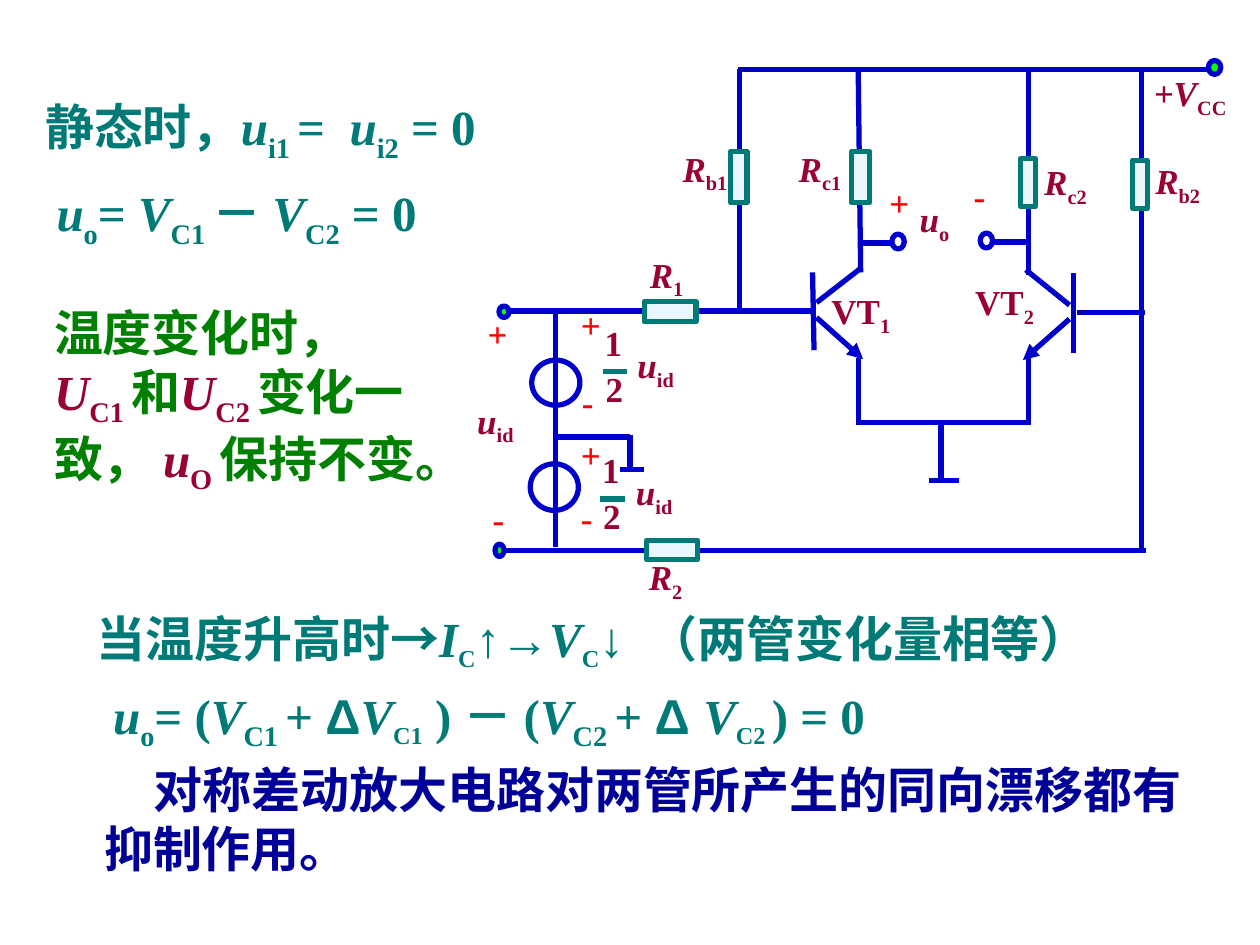
from lxml import etree
from pptx import Presentation
from pptx import util as u
from pptx.dml.color import RGBColor
from pptx.enum import shapes, text
from pptx.oxml import ns

BLUE = RGBColor(0x00, 0x00, 0xCC)
NAVY = RGBColor(0x00, 0x00, 0x99)
TEAL = RGBColor(0x00, 0x7A, 0x77)
GREEN = RGBColor(0x00, 0x80, 0x00)
CRIMSON = RGBColor(0x99, 0x00, 0x33)
RED = RGBColor(0xFF, 0x00, 0x00)
PALE = RGBColor(0xEB, 0xF7, 0xFF)
LIME = RGBColor(0x00, 0xFF, 0x00)

LINE_WIDTH = u.Pt(3)
BODY, LABEL = 28, 20

# Run styles: font attributes that differ from plain bold text
STYLES = {
    "plain": {},
    "italic": {"italic": True},
    "sub": {},
    "small sub": {"size": u.Pt(24)},
    "arial": {"name": "Arial"},
    "wide": {},
}

# Wires: x1, y1, x2, y2 in cm
WIRES = [
    # Supply rail, lower rail and right-hand return
    (14.88, 1.4, 24.38, 1.4), (10.19, 11.1, 23.11, 11.1), (23.01, 1.4, 23.01, 11.15),
    # Input and the bias and collector branches
    (10.31, 6.27, 16.43, 6.27), (21.72, 6.3, 23.09, 6.3), (14.91, 1.4, 14.91, 6.3),
    (17.3, 1.4, 17.35, 5.49), (20.73, 1.4, 20.73, 5.54),
    # Transistor bases and collectors
    (16.38, 5.49, 16.41, 7.06), (21.64, 5.51, 21.64, 7.11),
    (16.46, 6.1, 17.35, 5.41), (21.56, 6.15, 20.68, 5.44),
    # Emitters joined to ground
    (17.3, 7.21, 17.3, 8.56), (20.73, 7.21, 20.73, 8.56), (17.27, 8.51, 20.75, 8.51),
    (18.97, 8.56, 18.97, 9.68), (18.72, 9.68, 19.33, 9.68),
    # Output taps
    (17.37, 4.9, 18.01, 4.9), (20.73, 4.88, 20.02, 4.88),
    # Signal sources and their midpoint ground
    (11.2, 6.32, 11.2, 11.02), (11.25, 8.81, 12.7, 8.81),
    (12.7, 8.76, 12.7, 9.47), (12.5, 9.47, 12.98, 9.47),
]
EMITTERS = [(16.46, 6.4, 17.4, 7.24), (21.56, 6.43, 20.62, 7.26)]

# Outlines: left, top, width, height in cm
RESISTORS = [
    (17.17, 3.05, 0.36, 1.04), (20.57, 3.2, 0.3, 0.97), (14.73, 3.05, 0.33, 1.04),
    (22.83, 3.23, 0.3, 0.97), (13.03, 10.9, 1.04, 0.38), (12.99, 6.08, 1.04, 0.41),
]
TERMINALS = [(10.06, 6.17, 0.2, 0.23), (9.98, 10.97, 0.18, 0.25), (24.36, 1.22, 0.25, 0.28)]
OPEN_CIRCLES = [
    (17.98, 4.72, 0.25, 0.3), (19.76, 4.7, 0.25, 0.3),
    (10.69, 9.35, 0.97, 0.94), (10.72, 7.26, 0.97, 0.91),
]

# Labels: symbol, subscript, left, top, width in cm
SYMBOLS = [
    ("u", "o", 18.29, 3.86, 1.45), ("u", "id", 9.37, 7.92, 1.55),
    ("u", "id", 12.6, 6.81, 1.55), ("u", "id", 12.57, 9.37, 1.55),
    ("+V", "CC", 23.01, 1.32, 2.29), ("R", "2", 12.83, 11.07, 1.85),
    ("R", "1", 12.85, 4.98, 1.52), ("R", "b1", 13.51, 2.84, 1.96),
    ("R", "b2", 23.04, 3.1, 1.93), ("R", "c1", 15.85, 2.84, 2.01),
    ("R", "c2", 20.8, 3.12, 1.96), ("VT", "1", 16.51, 5.72, 2.21),
    ("VT", "2", 19.41, 5.54, 2.31),
]
POLARITIES = [
    ("+", 17.68, 3.53), ("-", 19.38, 3.4), ("+", 11.46, 8.61), ("-", 11.46, 9.88),
    ("+", 9.58, 6.17), ("-", 9.68, 9.91), ("+", 11.46, 5.99), ("-", 11.48, 7.54),
]
FRACTIONS = [(11.94, 6.35), (11.89, 8.92)]

# Statements: box in cm, colour, runs of (text, style[, colour])
STATEMENTS = [
    ((0.84, 5.97, 7.9, 5.33), GREEN, [
        ("温度变化时， ", "plain"), ("U", "italic", CRIMSON), ("C1 ", "sub", CRIMSON),
        ("和", "plain"), ("U", "italic", CRIMSON), ("C2 ", "sub", CRIMSON),
        ("变化一致， ", "plain"), ("u", "italic", CRIMSON), ("O ", "sub", CRIMSON),
        ("保持不变。", "plain")]),
    ((0.89, 3.56, 11, 1.85), TEAL, [
        ("u", "italic"), ("o", "sub"), ("= ", "plain"), ("V", "italic"), ("C1 ", "sub"),
        ("－ ", "plain"), ("V", "italic"), ("C2", "sub"), (" = 0", "plain")]),
    ((2.03, 13.69, 19.99, 1.85), TEAL, [
        ("u", "italic"), ("o", "sub"), ("= (", "plain"), ("V", "italic"), ("C1 ", "sub"),
        ("+ ", "plain"), ("Δ", "arial"), ("V", "italic"), ("C1", "small sub"),
        (" ) － (", "plain"), ("V", "italic"), ("C2 ", "sub"), ("+ ", "plain"),
        ("Δ ", "arial"), ("V", "italic"), ("C2 ", "small sub"), (") = 0", "plain")]),
    ((0.66, 1.83, 11.79, 1.85), TEAL, [
        ("静态时，", "plain"), ("u", "italic"), ("i1 ", "sub"), ("=", "plain"),
        (" ", "wide"), ("u", "italic"), ("i2", "sub"), (" = 0", "plain")]),
    ((1.7, 12.14, 21.79, 1.55), TEAL, [
        ("当温度升高时", "plain"), ("→", "arial"), ("I", "italic"), ("C", "small sub"),
        ("↑→", "arial"), ("V", "italic"), ("C", "small sub"), ("↓", "arial"),
        (" ", "wide"), ("（两管变化量相等）", "plain")]),
]
CONCLUSION = "对称差动放大电路对两管所产生的同向漂移都有抑制作用。"


def set_attributes(target, formats):
    for name, value in formats.items():
        setattr(target, name, value)


def add_wire(slide, ends, color=BLUE, arrow=False):
    wire = slide.shapes.add_connector(
        shapes.MSO_CONNECTOR.STRAIGHT, *[u.Cm(value) for value in ends])
    wire.line.color.rgb = color
    wire.line.width = LINE_WIDTH
    if arrow:
        line = wire.line._get_or_add_ln()
        etree.SubElement(line, ns.qn("a:tailEnd"), type="triangle")
    etree.SubElement(wire._element.spPr, ns.qn("a:effectLst"))


def add_outline(slide, kind, box, color, fill=None):
    shape = slide.shapes.add_shape(kind, *[u.Cm(value) for value in box])
    shape.shadow.inherit = False
    shape.line.color.rgb = color
    shape.line.width = LINE_WIDTH
    if fill is None:
        shape.fill.background()
    else:
        shape.fill.solid()
        shape.fill.fore_color.rgb = fill


def add_text(slide, box, runs, color, size, indent=0):
    frame = slide.shapes.add_textbox(*[u.Cm(value) for value in box]).text_frame
    set_attributes(frame, {"word_wrap": True,
                           "auto_size": text.MSO_AUTO_SIZE.SHAPE_TO_FIT_TEXT})
    paragraph = frame.paragraphs[0]
    if indent:
        paragraph._p.get_or_add_pPr().set("indent", str(u.Cm(indent)))
    for words, style, *own_color in runs:
        run = paragraph.add_run()
        run.text = words
        formats = {"name": "Times New Roman", "size": u.Pt(size), "bold": True,
                   "italic": False, **STYLES[style]}
        set_attributes(run.font, formats)
        run.font.color.rgb = own_color[0] if own_color else color
        properties = run._r.get_or_add_rPr()
        if style.endswith("sub"):
            properties.set("baseline", "-25000")
        elif style == "wide":
            properties.set("spc", "700")


def add_half(slide, left, top):
    add_text(slide, (left, top, 1.2, 1.12), [("1", "plain")], CRIMSON, LABEL)
    add_text(slide, (left + 0.02, top + 0.93, 1.2, 1.12), [("2", "plain")], CRIMSON, LABEL)
    bar = top + 1.14
    add_wire(slide, (left + 0.21, bar, left + 0.71, bar), TEAL)


def add_circuit(slide):
    for ends in WIRES:
        add_wire(slide, ends)
    for ends in EMITTERS:
        add_wire(slide, ends, arrow=True)
    for box in RESISTORS:
        add_outline(slide, shapes.MSO_SHAPE.RECTANGLE, box, TEAL, PALE)
    for box in TERMINALS:
        add_outline(slide, shapes.MSO_SHAPE.OVAL, box, BLUE, LIME)
    for box in OPEN_CIRCLES:
        add_outline(slide, shapes.MSO_SHAPE.OVAL, box, BLUE)


def add_labels(slide):
    for symbol, subscript, left, top, width in SYMBOLS:
        style = "plain" if symbol == "VT" else "italic"
        add_text(slide, (left, top, width, 1.22),
                 [(symbol, style), (subscript, "sub")], CRIMSON, LABEL)
    for sign, left, top in POLARITIES:
        add_text(slide, (left, top, 1.04, 1.12), [(sign, "plain")], RED, LABEL)
    for left, top in FRACTIONS:
        add_half(slide, left, top)


def main():
    presentation = Presentation()
    set_attributes(presentation, {"slide_width": u.Cm(25.4), "slide_height": u.Cm(19.05)})
    slide = presentation.slides.add_slide(presentation.slide_layouts[6])

    # Explanations around the circuit
    for box, color, runs in STATEMENTS:
        add_text(slide, box, runs, color, BODY)
    add_text(slide, (1.85, 15.19, 22.53, 2.64), [(CONCLUSION, "plain")], NAVY, BODY, indent=1)

    # Differential amplifier
    add_circuit(slide)
    add_labels(slide)
    presentation.save("out.pptx")


if __name__ == "__main__":
    main()
